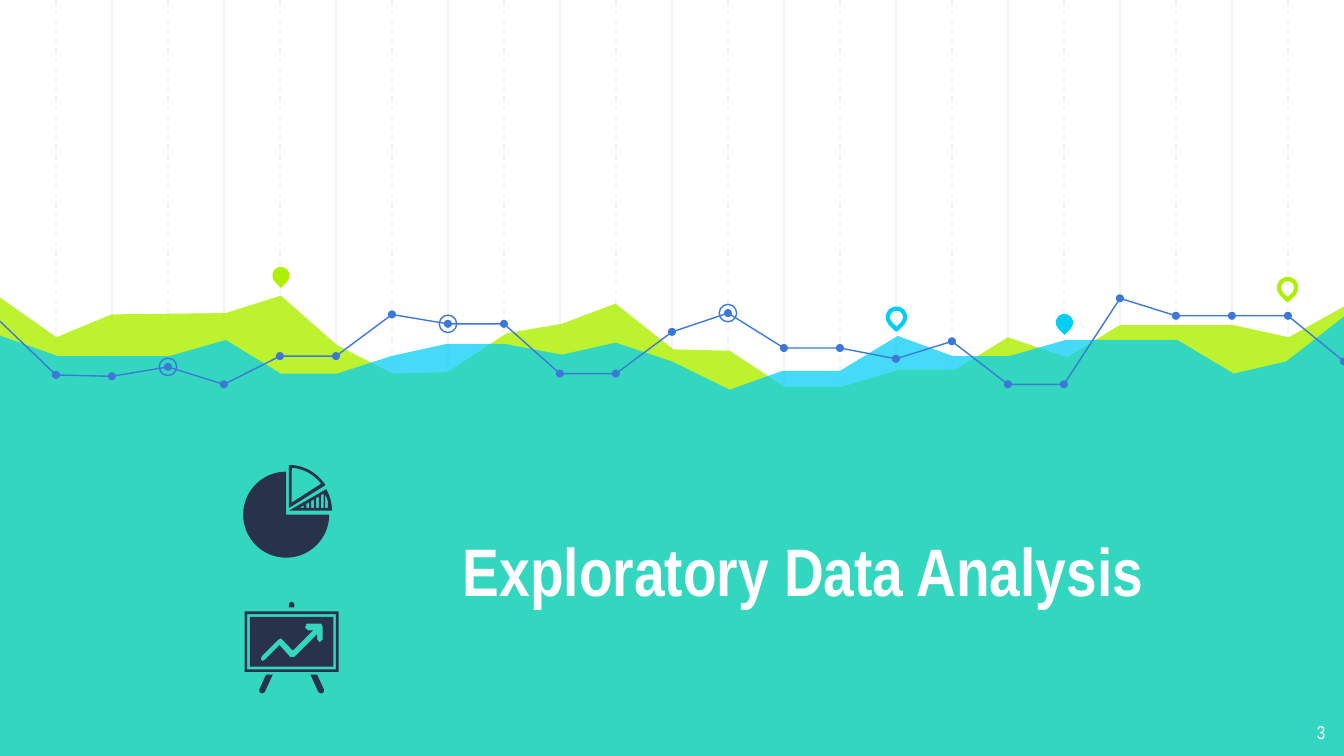
import math
from typing import NamedTuple, Optional

import lxml.etree
import pptx
import pptx.dml.color
import pptx.enum.dml
import pptx.enum.shapes
import pptx.enum.text
import pptx.oxml.ns
import pptx.util

Inches, Pt = pptx.util.Inches, pptx.util.Pt
qn = pptx.oxml.ns.qn
SHAPE = pptx.enum.shapes.MSO_SHAPE
ALIGN = pptx.enum.text.PP_ALIGN
ANCHOR = pptx.enum.text.MSO_ANCHOR

LIME, CYAN, BLUE, NAVY, GRID, WHITE = "AFF000", "00CEF6", "3C78D8", "28324A", "F3F3F3", "FFFFFF"
STEP = 10 / 24
Points = list[tuple[float, float]]


class Area(NamedTuple):
    ridge: Points
    color: str
    alpha: int


class Marker(NamedTuple):
    x: float
    y: float
    size: float
    kind: int = SHAPE.OVAL
    fill: Optional[str] = None
    line: Optional[str] = None
    width: float = 0.75
    rotation: float = 0


def rgb(color: str) -> pptx.dml.color.RGBColor:
    return pptx.dml.color.RGBColor.from_string(color)


def style(sp, fill: Optional[str] = None, line: Optional[str] = None,
          width: float = 0.75, alpha: int = 100) -> None:
    sp.shadow.inherit = False
    if fill:
        sp.fill.solid()
        sp.fill.fore_color.rgb = rgb(fill)
        if alpha < 100:
            color = sp._element.spPr.find(qn("a:solidFill"))[0]
            lxml.etree.SubElement(color, qn("a:alpha"), val=str(alpha * 1000))
    else:
        sp.fill.background()
    if line:
        sp.line.color.rgb = rgb(line)
        sp.line.width = Pt(width)
    else:
        sp.line.fill.background()


def add_outline(s, *contours: Points, closed: bool = True, **fmt) -> None:
    scaled = [[(Inches(x), Inches(y)) for x, y in c] for c in contours]
    builder = s.shapes.build_freeform(*scaled[0][0], scale=1.0)
    for i, c in enumerate(scaled):
        if i:
            builder.move_to(*c[0])
        builder.add_line_segments(c[1:], close=closed)
    style(builder.convert_to_shape(), **fmt)


def add_marker(s, m: Marker) -> None:
    sp = s.shapes.add_shape(m.kind, Inches(m.x - m.size / 2), Inches(m.y - m.size / 2),
                            Inches(m.size), Inches(m.size))
    sp.rotation = m.rotation
    style(sp, m.fill, m.line, m.width)


def pin(x: float, y: float, **colors: str) -> Marker:
    return Marker(x, y, 0.13, SHAPE.TEAR, width=2.25, rotation=135, **colors)


def add_grid_line(s, x: float, dashed: bool) -> None:
    c = s.shapes.add_connector(pptx.enum.shapes.MSO_CONNECTOR.STRAIGHT,
                               Inches(x), 0, Inches(x), Inches(5.65))
    c.line.color.rgb = rgb(GRID)
    c.line.width = Pt(0.75)
    if dashed:
        c.line.dash_style = pptx.enum.dml.MSO_LINE.DASH
    lxml.etree.SubElement(c._element.spPr, qn("a:effectLst"))


def add_text(s, text: str, *, left: float, top: float, width: float, height: float,
             size: float, bold: bool = False, anchor=ANCHOR.TOP) -> None:
    tf = s.shapes.add_textbox(Inches(left), Inches(top), Inches(width), Inches(height)).text_frame
    tf.word_wrap = True
    tf.vertical_anchor = anchor
    tf.margin_left = tf.margin_right = tf.margin_top = tf.margin_bottom = Inches(0.1)
    p = tf.paragraphs[0]
    p.alignment = ALIGN.RIGHT
    r = p.add_run()
    r.text = text
    r.font.name, r.font.size, r.font.bold = "Arial Narrow", Pt(size), bold
    r.font.color.rgb = rgb(WHITE)


def arc(cx: float, cy: float, radius: float, start: int, end: int, steps: int = 12) -> Points:
    angles = [math.radians(start + (end - start) * i / steps) for i in range(steps + 1)]
    return [(cx + radius * math.cos(a), cy + radius * math.sin(a)) for a in angles]


def box(left: float, top: float, right: float, bottom: float) -> Points:
    return [(left, top), (right, top), (right, bottom), (left, bottom)]


def slat(left: float) -> Points:
    right = left + 0.02
    return [(left, 3.75 - 0.6 * (left - 2.28)), (right, 3.75 - 0.6 * (right - 2.28)),
            (right, 3.78), (left, 3.78)]


def add_pie_icon(s) -> None:
    add_outline(s, [(2.13, 3.83)] + arc(2.13, 3.83, 0.32, 0, 270, 48), fill=NAVY)
    slats = [slat(2.28 + 0.036 * i) for i in range(4)]
    add_outline(s, [(2.15, 3.8)] + arc(2.15, 3.8, 0.32, -30, 0),
                [(2.23, 3.78), (2.26, 3.76), (2.26, 3.78)], *slats,
                [(2.42, 3.68), (2.43, 3.7), (2.44, 3.73), (2.44, 3.78), (2.42, 3.78)], fill=NAVY)
    add_outline(s, [(2.15, 3.78)] + arc(2.15, 3.78, 0.32, -90, -32),
                [(2.17, 3.74)] + arc(2.15, 3.78, 0.3, -86, -37), fill=NAVY)


def add_board_icon(s) -> None:
    leg = [(1.98, 5.02), (1.93, 5.13), (1.93, 5.15), (1.95, 5.16), (1.97, 5.15), (2.03, 5.02)]
    arrow = [(2.39, 4.64), (2.4, 4.66), (2.4, 4.76), (2.38, 4.78), (2.36, 4.76), (2.36, 4.72),
             (2.19, 4.89), (2.16, 4.89), (2.08, 4.8), (1.97, 4.91), (1.95, 4.92), (1.94, 4.9),
             (1.95, 4.88), (2.07, 4.76), (2.09, 4.75), (2.18, 4.84), (2.33, 4.69), (2.29, 4.69),
             (2.27, 4.67), (2.28, 4.64)]
    add_outline(s, box(1.82, 4.55, 2.52, 5), box(1.84, 4.57, 2.5, 4.98), fill=NAVY)
    add_outline(s, arc(2.17, 4.5, 0.02, 180, 360) + [(2.19, 4.52), (2.15, 4.52)], fill=NAVY)
    add_outline(s, leg, fill=NAVY)
    add_outline(s, [(4.34 - x, y) for x, y in leg], fill=NAVY)
    add_outline(s, box(1.86, 4.59, 2.48, 4.96), arrow, fill=NAVY)


AREAS = [
    Area([(-0.02, 2.2), (0.42, 2.51), (0.83, 2.34), (1.68, 2.33), (2.09, 2.2), (2.51, 2.57),
          (2.92, 2.78), (3.33, 2.77), (3.77, 2.48), (4.18, 2.41), (4.58, 2.26), (5.01, 2.6),
          (5.43, 2.61), (5.84, 2.88), (6.26, 2.88), (6.7, 2.75), (7.11, 2.75), (7.5, 2.51),
          (7.94, 2.66), (8.33, 2.42), (9.18, 2.42), (9.59, 2.51), (10.02, 2.27)], LIME, 82),
    Area([(-0.02, 2.49), (0.43, 2.65), (1.26, 2.65), (1.68, 2.53), (2.09, 2.78), (2.51, 2.78),
          (2.91, 2.65), (3.32, 2.56), (3.76, 2.56), (4.18, 2.64), (4.58, 2.55), (5, 2.69),
          (5.43, 2.9), (5.82, 2.76), (6.25, 2.76), (6.68, 2.5), (7.09, 2.65), (7.51, 2.65),
          (7.93, 2.53), (8.76, 2.53), (9.18, 2.78), (9.57, 2.69), (10.02, 2.34)], CYAN, 73),
]
TREND = [(STEP * i, y) for i, y in enumerate([
    2.39, 2.79, 2.8, 2.73, 2.86, 2.65, 2.65, 2.34, 2.41, 2.41, 2.78, 2.78, 2.47, 2.33, 2.59,
    2.59, 2.67, 2.54, 2.86, 2.86, 2.22, 2.35, 2.35, 2.35, 2.69])]
TREND_PARTS = [(0, 11), (11, 20), (20, 24)]
RINGED = [8, 3, 13]
PINS = [pin(2.09, 2.05, fill=LIME), pin(6.67, 2.36, line=CYAN),
        pin(7.92, 2.4, fill=CYAN), pin(9.58, 2.14, line=LIME)]


def main() -> None:
    prs = pptx.Presentation()
    prs.slide_width = Inches(10)
    prs.slide_height = prs.slide_width * 9 // 16
    s = prs.slides.add_slide(prs.slide_layouts[6])
    for first, dashed in ((2, False), (1, True)):
        for i in range(first, 24, 2):
            add_grid_line(s, STEP * i, dashed)
    for area in AREAS:
        add_outline(s, area.ridge + [(10.04, 5.67), (-0.03, 5.67)],
                    fill=area.color, alpha=area.alpha)
    for start, end in TREND_PARTS:
        add_outline(s, TREND[start:end + 1], closed=False, line=BLUE)
    dots = [Marker(x, y, 0.06, fill=BLUE) for x, y in TREND[1:]]
    rings = [Marker(*TREND[i], 0.13, line=BLUE) for i in RINGED]
    for marker in dots + rings + PINS:
        add_marker(s, marker)
    add_text(s, "Exploratory Data Analysis", left=2.91, top=3.37, width=5.7, height=1.27,
             size=36, bold=True, anchor=ANCHOR.BOTTOM)
    add_text(s, "3", left=9.36, top=5.28, width=0.6, height=0.35, size=10)
    add_pie_icon(s)
    add_board_icon(s)
    prs.save("out.pptx")


if __name__ == "__main__":
    main()
